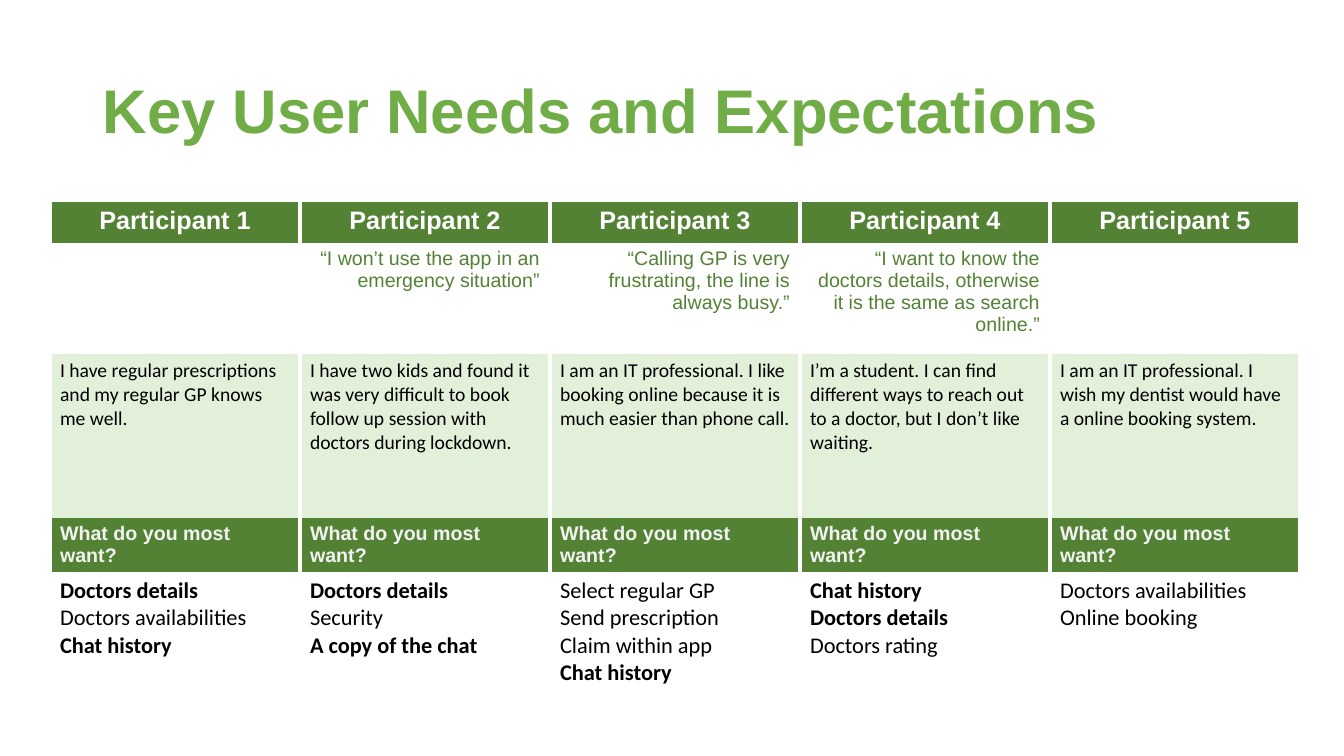
from lxml import etree
from pptx import Presentation
from pptx.dml.color import RGBColor
from pptx.enum.text import MSO_ANCHOR, MSO_AUTO_SIZE, PP_ALIGN
from pptx.oxml.ns import qn
from pptx.util import Cm, Pt

LEFT, CENTER, RIGHT = PP_ALIGN.LEFT, PP_ALIGN.CENTER, PP_ALIGN.RIGHT
MIDDLE, NO_AUTOFIT = MSO_ANCHOR.MIDDLE, MSO_AUTO_SIZE.NONE

THEME = {
    "title": "70AD47", "green": "548235", "pale": "E2F0D9",
    "white": "FFFFFF", "off_white": "F2F2F2", "black": "000000",
    "head": "Arial", "body": "Calibri",
    "title_size": 44, "header_size": 18, "text_size": 14, "want_size": 16,
}


def format_paragraph(p, align, font, size, color, bold):
    p.alignment = align
    for r in p.runs:
        r.font.name = THEME[font]
        r.font.size = Pt(THEME[size])
        r.font.color.rgb = RGBColor.from_string(THEME[color])
        r.font.bold = bold


def set_borders(cell):
    tcPr = cell._tc.get_or_add_tcPr()
    for i, side in enumerate(("lnL", "lnR", "lnT", "lnB")):
        ln = etree.Element(qn(f"a:{side}"), w=str(Pt(3)))
        if side in ("lnL", "lnR"):
            solid = etree.SubElement(ln, qn("a:solidFill"))
            etree.SubElement(solid, qn("a:srgbClr"), val=THEME["white"])
        else:
            etree.SubElement(ln, qn("a:noFill"))
        tcPr.insert(i, ln)


participants = [f"Participant {n}" for n in range(1, 6)]
quotes = [
    "",
    "“I won’t use the app in an emergency situation”",
    "“Calling GP is very frustrating, the line is always busy.”",
    "“I want to know the doctors details, otherwise it is the same as search online.”",
    "",
]
stories = [
    "I have regular prescriptions and my regular GP knows me well.",
    "I have two kids and found it was very difficult to book follow up session with doctors during lockdown.",
    "I am an IT professional. I like booking online because it is much easier than phone call.",
    "I’m a student. I can find different ways to reach out to a doctor, but I don’t like waiting.",
    "I am an IT professional. I wish my dentist would have a online booking system.",
]
questions = ["What do you most want?"] * 5
wants = [
    "Doctors details\nDoctors availabilities\nChat history",
    "Doctors details\nSecurity\nA copy of the chat",
    "Select regular GP\nSend prescription\nClaim within app\nChat history",
    "Chat history\nDoctors details\nDoctors rating",
    "Doctors availabilities\nOnline booking",
]
key_wants = {"Doctors details", "Chat history", "A copy of the chat"}

rows = [
    (participants, 1.03, "green", CENTER, "head", "header_size", "white", True),
    (quotes, 2.8, None, RIGHT, "head", "text_size", "green", False),
    (stories, 4.13, "pale", LEFT, "body", "text_size", "black", False),
    (questions, 1.04, "green", LEFT, "head", "text_size", "off_white", True),
    (wants, 3.78, "white", LEFT, "body", "want_size", "black", False),
]

prs = Presentation()
prs.slide_width, prs.slide_height = Cm(33.87), Cm(19.05)
s = prs.slides.add_slide(prs.slide_layouts[5])

title = s.shapes.title
title.left, title.top, title.width, title.height = Cm(2.33), Cm(1.01), Cm(29.21), Cm(3.68)
tf = title.text_frame
tf.text = "Key User Needs and Expectations"
tf.auto_size = NO_AUTOFIT
tf.vertical_anchor = MIDDLE
tf.paragraphs[0].line_spacing = 0.9
format_paragraph(tf.paragraphs[0], LEFT, "head", "title_size", "title", True)

table = s.shapes.add_table(len(rows), 5, Cm(1.26), Cm(5.09), Cm(31.5), Cm(12.78)).table
table.horz_banding = False
table.first_row = False
for column in table.columns:
    column.width = Cm(6.3)

for i, (texts, height, fill, align, font, size, color, bold) in enumerate(rows):
    table.rows[i].height = Cm(height)
    for j, text in enumerate(texts):
        cell = table.cell(i, j)
        if fill:
            cell.fill.solid()
            cell.fill.fore_color.rgb = RGBColor.from_string(THEME[fill])
        else:
            cell.fill.background()
        set_borders(cell)
        cell.text_frame.text = text
        for p in cell.text_frame.paragraphs:
            format_paragraph(p, align, font, size, color, bold or p.text in key_wants)

prs.save("out.pptx")
